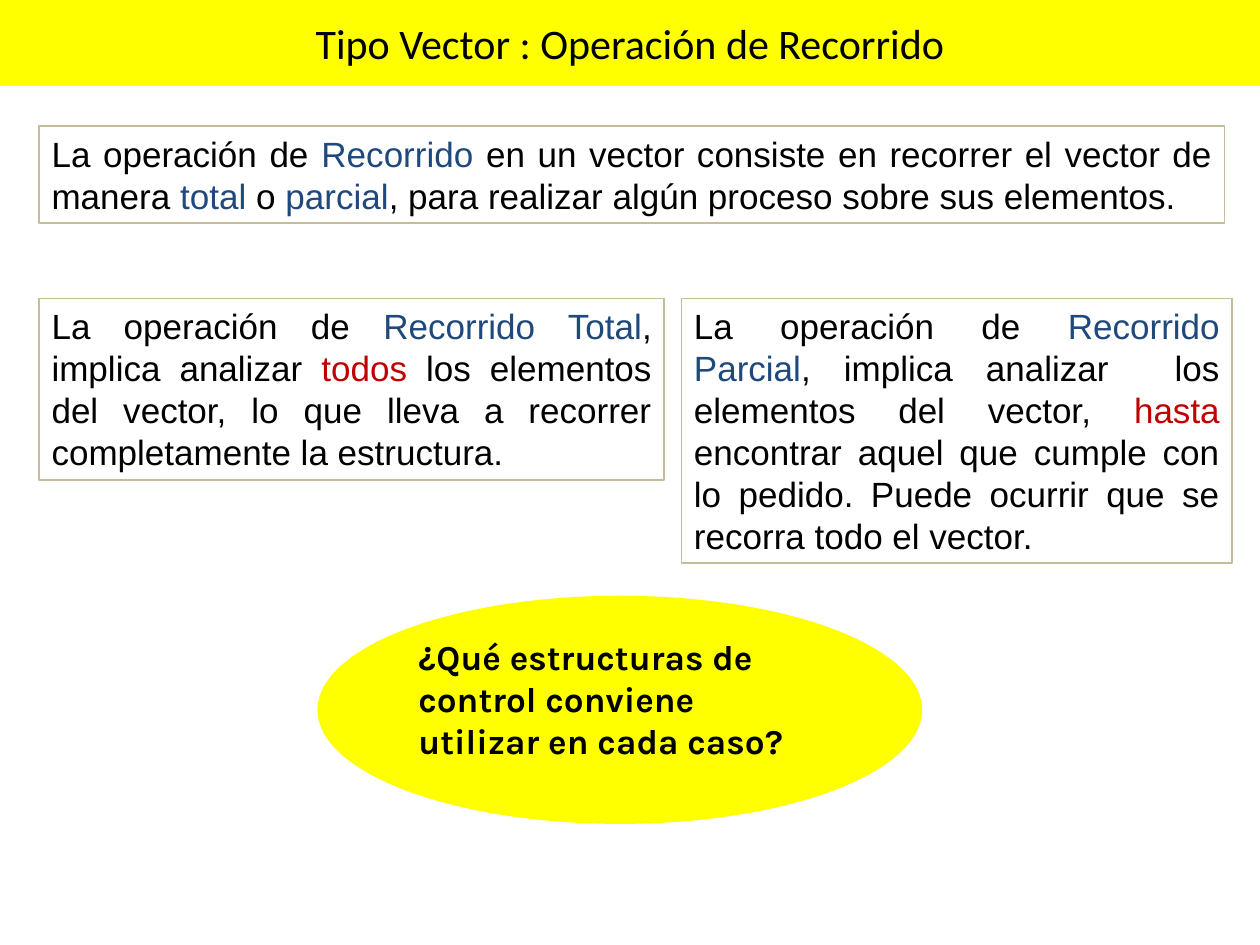
from pptx import Presentation
from pptx.dml.color import RGBColor
from pptx.enum.shapes import MSO_SHAPE as Shape
from pptx.enum.text import MSO_ANCHOR as Anchor, MSO_AUTO_SIZE as AutoSize, PP_ALIGN as Align
from pptx.util import Cm, Pt

BLACK, BLUE, RED = "000000", "1F497D", "C00000"
YELLOW, TAN = "FFFF00", "C4BD97"


def color(hex_text):
    return RGBColor.from_string(hex_text)


def add_text(para, text, font="Arial", size=20, tint=BLACK, bold=False):
    span = para.add_run()
    span.text = text
    span.font.name = font
    span.font.size = Pt(size)
    span.font.bold = bold
    span.font.color.rgb = color(tint)


deck = Presentation()
deck.slide_width, deck.slide_height = Cm(25.4), Cm(19.05)
page = deck.slides.add_slide(deck.slide_layouts[5])

# Title band
title = page.shapes.title
title.left, title.top, title.width, title.height = Cm(0), Cm(0), Cm(25.4), Cm(1.73)
title.fill.solid()
title.fill.fore_color.rgb = color(YELLOW)
title.text_frame.vertical_anchor = Anchor.MIDDLE
para = title.text_frame.paragraphs[0]
para.alignment = Align.CENTER
add_text(para, "Tipo Vector : Operación de Recorrido", font="Calibri", size=24)

# Framed definitions: position in cm, then the coloured pieces of the sentence
definitions = [
    ((0.79, 2.54, 23.9, 1.96), [
        ("La operación de ", BLACK), ("Recorrido", BLUE),
        (" en un vector consiste en recorrer el vector de manera ", BLACK),
        ("total", BLUE), (" o ", BLACK), ("parcial", BLUE),
        (", para realizar algún proceso sobre sus elementos.", BLACK)]),
    ((0.79, 6.02, 12.6, 3.66), [
        ("La operación de ", BLACK), ("Recorrido Total", BLUE),
        (", implica analizar ", BLACK), ("todos", RED),
        (" los elementos del vector, lo que lleva a recorrer "
         "completamente la estructura.", BLACK)]),
    ((13.74, 6.02, 11.1, 5.33), [
        ("La operación de ", BLACK), ("Recorrido Parcial", BLUE),
        (", implica analizar  los elementos del vector, ", BLACK), ("hasta", RED),
        (" encontrar aquel que cumple con lo pedido. "
         "Puede ocurrir que se recorra todo el vector.", BLACK)]),
]
for place, pieces in definitions:
    box = page.shapes.add_textbox(*[Cm(length) for length in place])
    box.line.color.rgb = color(TAN)
    box.line.width = Pt(0.75)
    box.text_frame.word_wrap = True
    box.text_frame.auto_size = AutoSize.SHAPE_TO_FIT_TEXT
    para = box.text_frame.paragraphs[0]
    para.alignment = Align.JUSTIFY
    para.line_spacing = Pt(24)
    for text, tint in pieces:
        add_text(para, text, tint=tint)

# Closing question
question = page.shapes.add_shape(Shape.OVAL, Cm(6.4), Cm(12.01), Cm(12.19), Cm(4.6))
question.shadow.inherit = False
question.fill.solid()
question.fill.fore_color.rgb = color(YELLOW)
question.line.fill.background()
question.text_frame.word_wrap = True
question.text_frame.vertical_anchor = Anchor.TOP
para = question.text_frame.paragraphs[0]
para.alignment = Align.LEFT
para.line_spacing = Pt(24)
add_text(para, "¿Qué estructuras de control conviene utilizar en cada caso?",
         font="Karla", bold=True)

deck.save("out.pptx")
